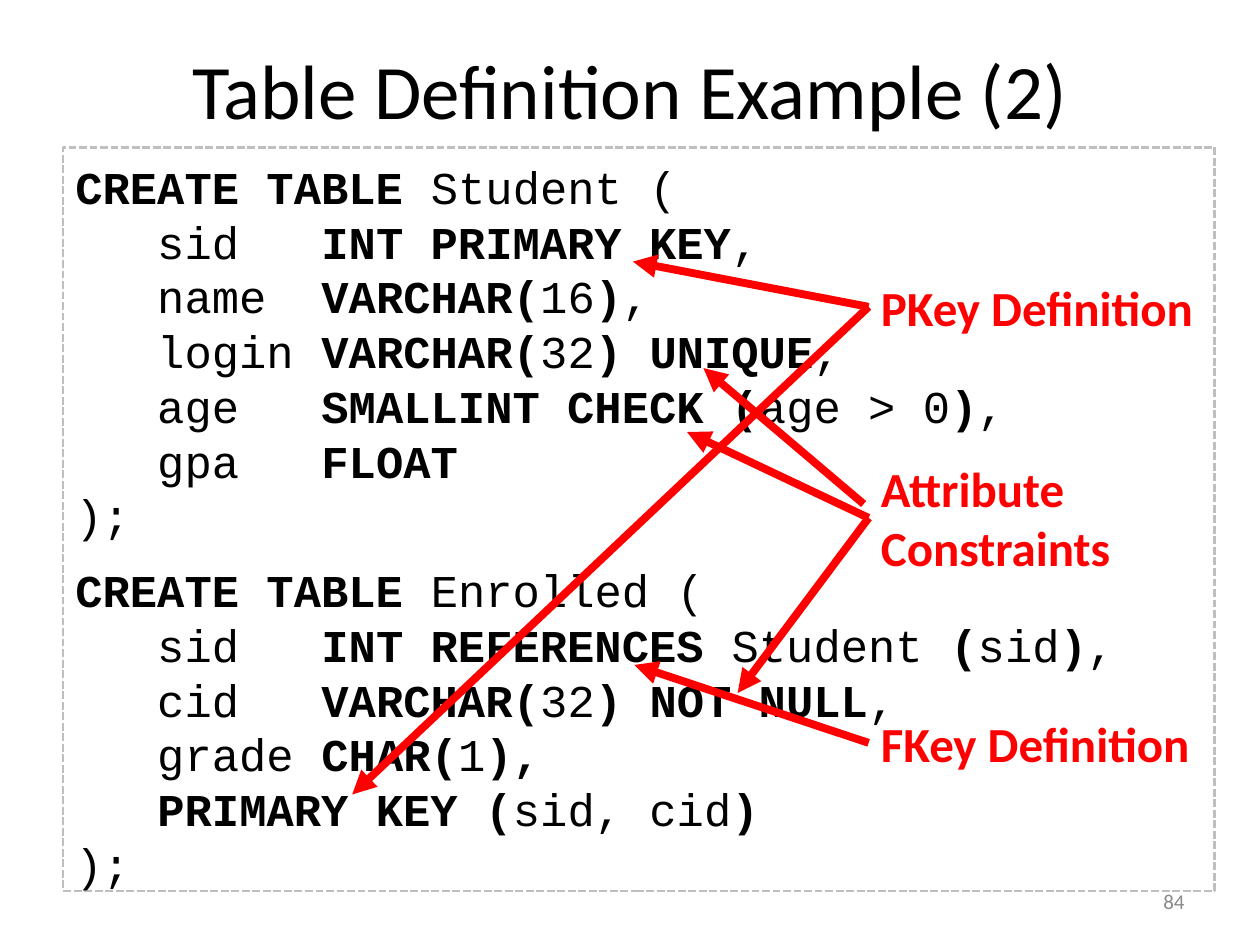
from collections import namedtuple

from lxml import etree
from pptx import Presentation
from pptx import util as u
from pptx.dml.color import RGBColor
from pptx.enum import dml, shapes, text
from pptx.oxml.ns import qn

BLACK = RGBColor(0, 0, 0)
RED = RGBColor(0xFF, 0, 0)
BORDER_GREY = RGBColor(0xBF, 0xBF, 0xBF)
NUMBER_GREY = RGBColor(0x89, 0x89, 0x89)

Box = namedtuple("Box", "left top width height")  # centimetres

# Asterisks switch bold on and off.
STUDENT = """*CREATE TABLE *Student (
   sid   *INT PRIMARY KEY*,
   name  *VARCHAR(*16*)*,
   login *VARCHAR(*32*) UNIQUE*,
   age   *SMALLINT CHECK (*age > 0*)*,
   gpa   *FLOAT*
);"""
ENROLLED = """*CREATE TABLE* Enrolled (
   sid   *INT REFERENCES *Student *(*sid*)*,
   cid   *VARCHAR(*32*) NOT NULL*,
   grade *CHAR(*1*),*
   *PRIMARY KEY (*sid, cid*)*
);"""

# Label, its box, and arrows as (start, tip) offsets from the box's left middle.
CALLOUTS = [
    ("PKey Definition", Box(17.51, 5.46, 6.83, 1.45),
     [((0, 0), (-4.75, -0.91)), ((0, 0), (-10.41, 9.83))]),
    ("Attribute\nConstraints", Box(17.51, 9.12, 5.16, 2.64),
     [((0, 0), (-2.64, 3.53)), ((0, 0), (-3.66, -1.73)),
      ((-0.1, -0.28), (-3.33, -3.02))]),
    ("FKey Definition", Box(17.51, 14.25, 6.76, 1.45),
     [((0, 0), (-4.72, -1.57))]),
]


def lengths(box):
    return [u.Cm(value) for value in box]


def style(font, name, size, color, bold=False):
    font.name, font.size, font.bold = name, u.Pt(size), bold
    font.color.rgb = color


def add_title(page, box, words):
    title = page.shapes.title
    title.left, title.top, title.width, title.height = lengths(box)
    frame = title.text_frame
    frame.text = words
    frame.vertical_anchor = text.MSO_ANCHOR.MIDDLE
    para = frame.paragraphs[0]
    para.alignment = text.PP_ALIGN.CENTER
    style(para.runs[0].font, "Calibri", 44, BLACK)


def add_code(page, box, statements):
    panel = page.shapes.add_shape(shapes.MSO_SHAPE.RECTANGLE, *lengths(box))
    panel.shadow.inherit = False
    panel.fill.background()
    panel.line.color.rgb = BORDER_GREY
    panel.line.width = u.Pt(1.5)
    panel.line.dash_style = dml.MSO_LINE.SQUARE_DOT
    panel.line._ln.find(qn("a:prstDash")).set("val", "sysDash")
    frame = panel.text_frame
    frame.word_wrap = True
    frame.vertical_anchor = text.MSO_ANCHOR.TOP
    frame.margin_top = u.Cm(0.23)
    frame.text = "\n".join(statements)
    lines = [(line, number > 0 and row == 0)
             for number, statement in enumerate(statements)
             for row, line in enumerate(statement.split("\n"))]
    for para, (line, starts_statement) in zip(frame.paragraphs, lines):
        para.text = ""
        para.alignment = text.PP_ALIGN.LEFT
        para.line_spacing = u.Pt(31.3)
        if starts_statement:
            para.space_before = u.Pt(11.3)
        for index, piece in enumerate(line.split("*")):
            if piece:
                span = para.add_run()
                span.text = piece
                style(span.font, "Courier New", 26, BLACK, index % 2 == 1)


def add_arrow(page, start, tip):
    ends = [u.Cm(value) for value in (*start, *tip)]
    arrow = page.shapes.add_connector(shapes.MSO_CONNECTOR.STRAIGHT, *ends)
    arrow.line.color.rgb = RED
    arrow.line.width = u.Pt(4.5)
    etree.SubElement(arrow.line._ln, qn("a:tailEnd"), type="triangle")
    etree.SubElement(arrow._element.spPr, qn("a:effectLst"))


def add_callout(page, box, words, arrows):
    label = page.shapes.add_textbox(*lengths(box))
    frame = label.text_frame
    frame.word_wrap = False
    frame.text = words
    for para in frame.paragraphs:
        style(para.runs[0].font, "Calibri", 28, RED, True)
    middle = box.top + box.height / 2
    for arrow in arrows:
        start, tip = [(box.left + x, middle + y) for x, y in arrow]
        add_arrow(page, start, tip)


def add_page_number(page, box, number):
    frame = page.shapes.add_textbox(*lengths(box)).text_frame
    frame.word_wrap = True
    frame.vertical_anchor = text.MSO_ANCHOR.MIDDLE
    frame.text = number
    para = frame.paragraphs[0]
    para.alignment = text.PP_ALIGN.RIGHT
    style(para.runs[0].font, "Calibri", 12, NUMBER_GREY)


def main():
    deck = Presentation()
    deck.slide_width, deck.slide_height = u.Cm(25.4), u.Cm(19.05)
    page = deck.slides.add_slide(deck.slide_layouts.get_by_name("Title Only"))
    add_title(page, Box(1.27, 0.2, 22.86, 3.18), "Table Definition Example (2)")
    add_code(page, Box(1.27, 2.97, 23.22, 14.99), [STUDENT, ENROLLED])
    for words, box, arrows in CALLOUTS:
        add_callout(page, box, words, arrows)
    add_page_number(page, Box(18.21, 17.65, 5.92, 1.02), "84")
    deck.save("out.pptx")


if __name__ == "__main__":
    main()
